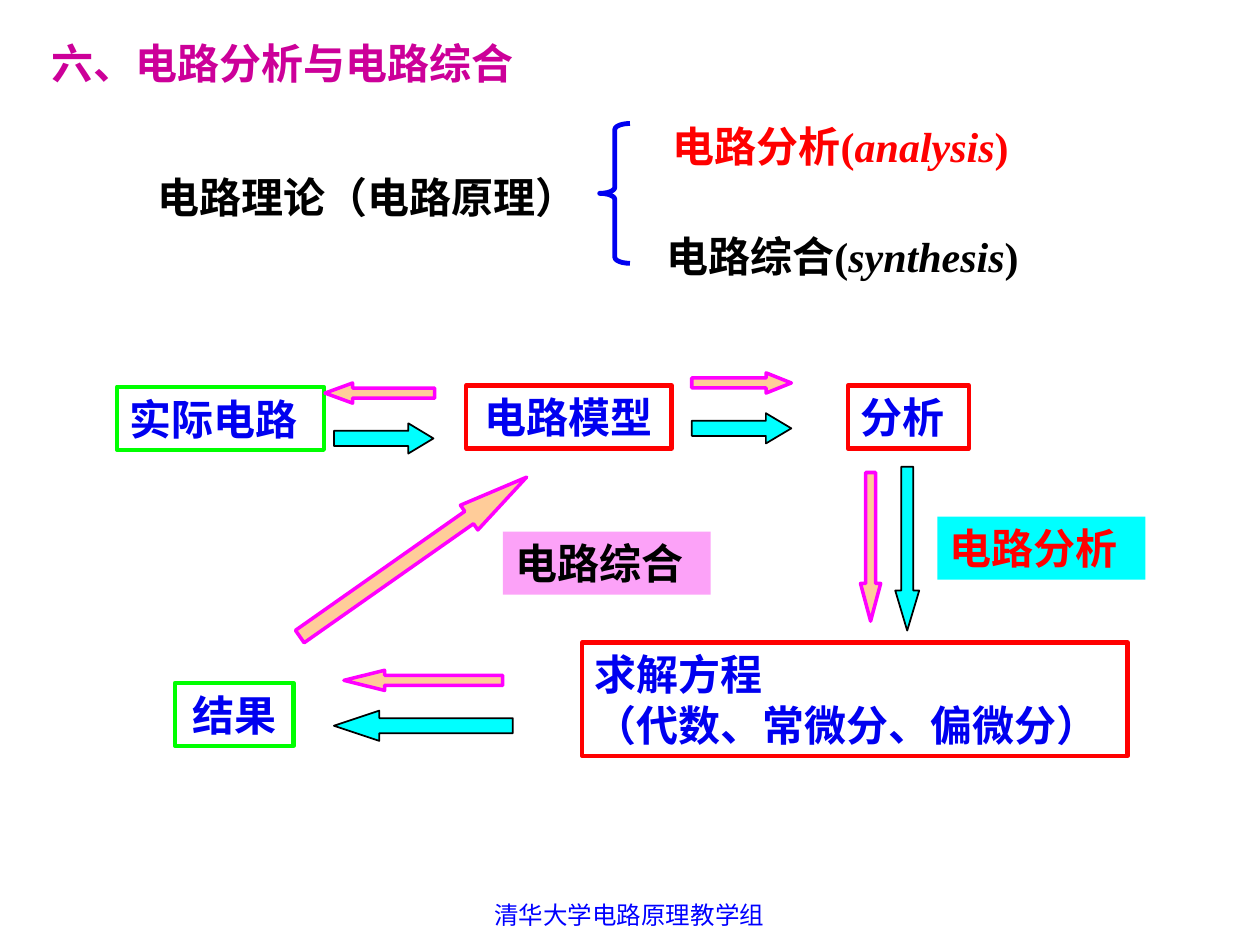
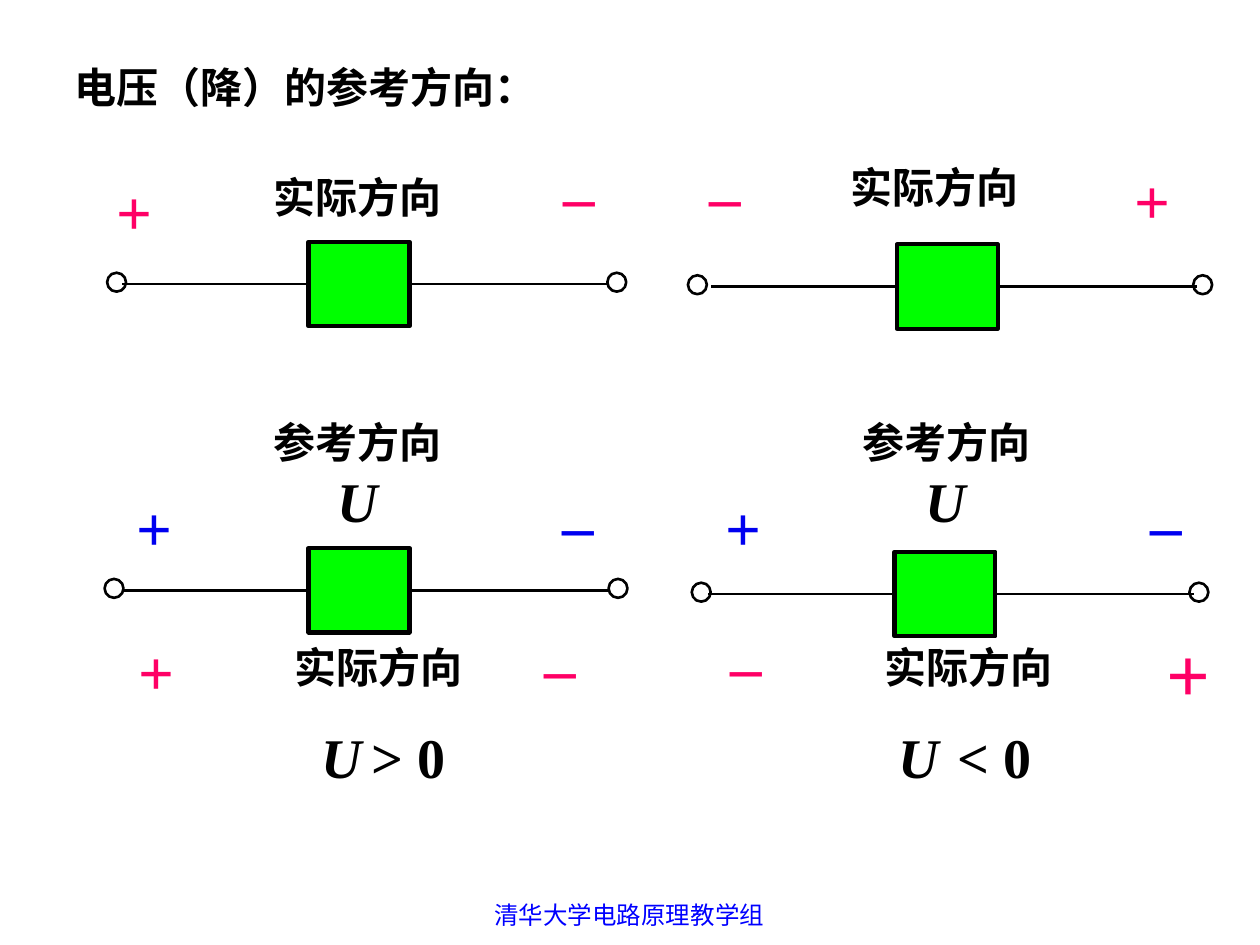
from lxml.etree import SubElement
from pptx import Presentation
from pptx.dml.color import RGBColor
from pptx.enum.shapes import MSO_CONNECTOR, MSO_SHAPE
from pptx.enum.text import MSO_ANCHOR, MSO_AUTO_SIZE, PP_ALIGN
from pptx.oxml.ns import qn
from pptx.util import Inches, Pt

COLS, ROWS = 100, 75
SERIF = "Times New Roman"
BLACK, BLUE, RED, GREEN = "000000", "0000F0", "FF0000", "00FF00"
CYAN, PINK, PEACH, ROSE = "00FFFF", "FF00FF", "FFCC99", "FF0066"
LEFT, MID = PP_ALIGN.LEFT, PP_ALIGN.CENTER
ACTUAL, REF = "实际方向", "参考方向"


def grid(*cells):
    """Turn grid cells into lengths."""
    return [Inches(cell / 10) for cell in cells]


def tint(hue):
    """Turn a hex string into a colour."""
    return RGBColor.from_string(hue)


def style(par, size=24, hue=BLACK, bold=True, face=SERIF, slant=False):
    """Set the font of a paragraph."""
    font = par.font
    font.size, font.name, font.bold, font.italic = Pt(size), face, bold, slant
    font.color.rgb = tint(hue)


def write(shape, text, align=LEFT, **look):
    """Fill a shape with styled lines."""
    frame = shape.text_frame
    frame.word_wrap = True
    frame.auto_size = MSO_AUTO_SIZE.NONE
    frame.vertical_anchor = MSO_ANCHOR.MIDDLE
    side = Inches(0.1 if align == LEFT else 0)
    frame.margin_left = frame.margin_right = side
    frame.margin_top = frame.margin_bottom = Inches(0.05)
    frame.text = text
    for par in frame.paragraphs:
        par.alignment = align
        style(par, **look)
    return frame


def label(shapes, box, text, align=LEFT, **look):
    """Add a text box."""
    return write(shapes.add_textbox(*grid(*box)), text, align, **look)


def mark(shapes, x, y, text, wide=8, **look):
    """Add a text box centred on a point."""
    label(shapes, (x - wide / 2, y - 4, wide, 8), text, MID, **look)


def form(shapes, kind, box, fill=None, line=None, width=1.5):
    """Add a preset shape."""
    shape = shapes.add_shape(kind, *grid(*box))
    shape.shadow.inherit = False
    if fill:
        shape.fill.solid()
        shape.fill.fore_color.rgb = tint(fill)
    else:
        shape.fill.background()
    if line:
        shape.line.color.rgb = tint(line)
        shape.line.width = Pt(width)
    else:
        shape.line.fill.background()
    return shape


def start(deck, title, box, hue):
    """Add a slide with its title and footer."""
    slide = deck.slides.add_slide(deck.slide_layouts[5])
    head = slide.shapes.title
    head.left, head.top, head.width, head.height = grid(*box)
    write(head, title, hue=hue)
    label(slide.shapes, (34.1, 71.1, 31.7, 3), "清华大学电路原理教学组", MID,
          size=14, hue="0000FF", bold=False, face="Arial")
    return slide.shapes


def branch(shapes, x, y):
    """Draw the theory and its two branches."""
    label(shapes, (x, y + 4, 38.7, 5), "电路理论（电路原理）", MID)
    brace = form(shapes, MSO_SHAPE.LEFT_BRACE, (x + 37.8, y + 0.7, 2.4, 11.1),
                 line=BLUE, width=2.75)
    brace.adjustments[0] = 0.2
    for dx, dy, name, term, hue in ((42.6, 0, "电路分析", "analysis", RED),
                                    (42.1, 8.7, "电路综合", "synthesis", BLACK)):
        par = label(shapes, (x + dx, y + dy, 32.5, 5), "", hue=hue).paragraphs[0]
        for text in (name + "(", term, ")"):
            run = par.add_run()
            run.text = text
            run.font.italic = text == term


def flow(shapes, x, y):
    """Draw the loop of boxes, arrows and tags."""
    boxes = (
        (0, 0.3, 16.4, 5, GREEN, LEFT, "实际电路"),
        (27.7, 0.2, 16.3, 5, RED, MID, "电路模型"),
        (58, 0.2, 9.6, 5, RED, LEFT, "分析"),
        (36.9, 20.6, 43.3, 9, RED, LEFT, "求解方程\n（代数、常微分、偏微分）"),
        (4.6, 23.8, 9.4, 5, GREEN, MID, "结果"))
    for dx, dy, w, h, line, align, text in boxes:
        box = form(shapes, MSO_SHAPE.RECTANGLE, (x + dx, y + dy, w, h),
                   line=line, width=2.5)
        write(box, text, align, hue=BLUE)
    right, left = MSO_SHAPE.RIGHT_ARROW, MSO_SHAPE.LEFT_ARROW
    down = MSO_SHAPE.DOWN_ARROW
    cyan, pink = (CYAN, BLACK, 1), (PEACH, PINK, 2)
    arrows = (
        (right, 17.2, 3.2, 7.9, 2.4, 0.83, cyan, 0),
        (right, 45.6, 2.4, 7.9, 2.4, 0.84, cyan, 0),
        (down, 61.75, 6.65, 1.9, 13, 1.67, cyan, 0),
        (left, 17.2, 26, 14.2, 2.4, 1.5, cyan, 0),
        (right, 12.5, 12.6, 22, 2.4, 2.32, pink, 324.9),
        (right, 45.6, -0.8, 7.9, 1.6, 1.25, pink, 0),
        (down, 59, 7.1, 1.6, 11.8, 1.87, pink, 0),
        (left, 18, 22.8, 12.6, 1.6, 2.02, pink, 0),
        (left, 16.5, 0, 8.7, 1.6, 1.37, pink, 0))
    for kind, dx, dy, w, h, tip, paint, turn in arrows:
        arrow = form(shapes, kind, (x + dx, y + dy, w, h), *paint)
        arrow.adjustments[0], arrow.adjustments[1] = 0.5, tip
        arrow.rotation = turn
    for dx, dy, fill, hue, text in ((65.1, 10.6, CYAN, RED, "电路分析"),
                                    (30.6, 11.8, "FCA2F8", BLACK, "电路综合")):
        tag = form(shapes, MSO_SHAPE.RECTANGLE, (x + dx, y + dy, 16.5, 5), fill)
        write(tag, text, hue=hue)


def part(shapes, x, y, ends, width=2.5):
    """Draw an element with two wires and open ends."""
    body = form(shapes, MSO_SHAPE.RECTANGLE, (x, y, 8, 6.7), GREEN, BLACK, width)
    for side, reach in ((1, -14.8), (3, 23.8)):
        tip = grid(x + reach, y + 3.35)
        wire = shapes.add_connector(MSO_CONNECTOR.STRAIGHT, *tip, *tip)
        wire.begin_connect(body, side)
        wire.line.color.rgb = tint(BLACK)
        wire.line.width = Pt(1.5)
        SubElement(wire.element.spPr, qn("a:effectLst"))
    for end in ends:
        form(shapes, MSO_SHAPE.OVAL, (x + end, y + 2.45, 1.5, 1.5), line=BLACK)


def actual(shapes, x, y, name, plus, minus, size=36):
    """Mark the actual direction around a point."""
    mark(shapes, x + name[0], y + name[1], ACTUAL, 16)
    mark(shapes, x + plus[0], y + plus[1], "+", size=size, hue=ROSE)
    mark(shapes, x + minus[0], y + minus[1], "–", size=36, hue=ROSE)


def given(shapes, x, y):
    """Mark the reference direction around a point."""
    lines = label(shapes, (x - 8, y - 5.2, 16, 10.4), REF + "\nU", MID)
    style(lines.paragraphs[1], 32, slant=True)
    mark(shapes, x - 16.1, y + 4.1, "+", size=36, hue=BLUE)
    mark(shapes, x + 17.5, y + 3.8, "–", size=36, hue=BLUE)


def result(shapes, x, y, gap, text):
    """Write the sign of the voltage."""
    mark(shapes, x, y, "U", 5.2, size=32, slant=True)
    mark(shapes, x + gap, y, text, size=32)


def main():
    """Build both slides."""
    deck = Presentation()
    deck.slide_width, deck.slide_height = grid(COLS, ROWS)

    theory = start(deck, "六、电路分析与电路综合", (3.1, 2.5, 42, 5), "CC0099")
    branch(theory, 9.8, 9.1)
    flow(theory, 9.3, 30.4)

    volts = start(deck, "电压（降）的参考方向：", (4.9, 4.4, 42, 5), BLACK)
    parts = (
        (24.5, 19.2, (-16, 23.7), 2.5, (3.85, -3.6), (-13.8, -2.5), (21.5, -3.8), 36),
        (71.2, 19.4, (-16.6, 23.5), 2.25, (2.95, -4.6), (20.3, -3.6), (-13.6, -4), 36),
        (24.5, 43.5, (-16.2, 23.8), 2.5, (5.55, 9.4), (-12.1, 9.7), (20, 9.4), 36),
        (71, 43.8, (-16.1, 23.4), 2.5, (5.85, 9.1), (23.3, 9.5), (-11.8, 8.9), 44))
    for x, y, ends, width, name, plus, minus, size in parts:
        group = volts.add_group_shape().shapes
        part(group, x, y, ends, width)
        actual(group, x, y, name, plus, minus, size)
    for x, u, gap, text in ((28.4, 27.1, 5.35, "> 0"), (75.1, 72.9, 6.05, "< 0")):
        given(volts.add_group_shape().shapes, x, 37.7)
        result(volts.add_group_shape().shapes, u, 60, gap, text)

    deck.save("out.pptx")


if __name__ == "__main__":
    main()
